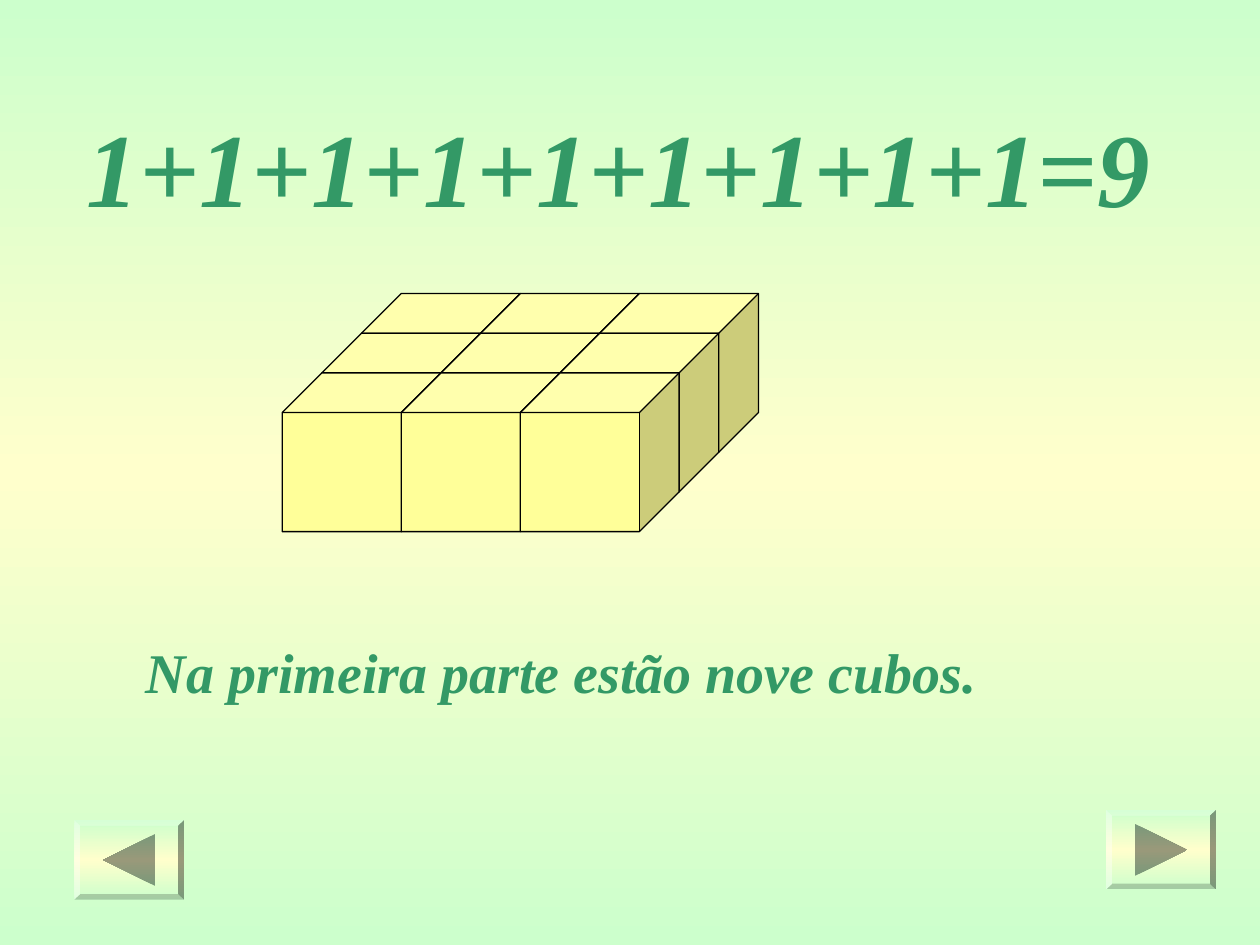
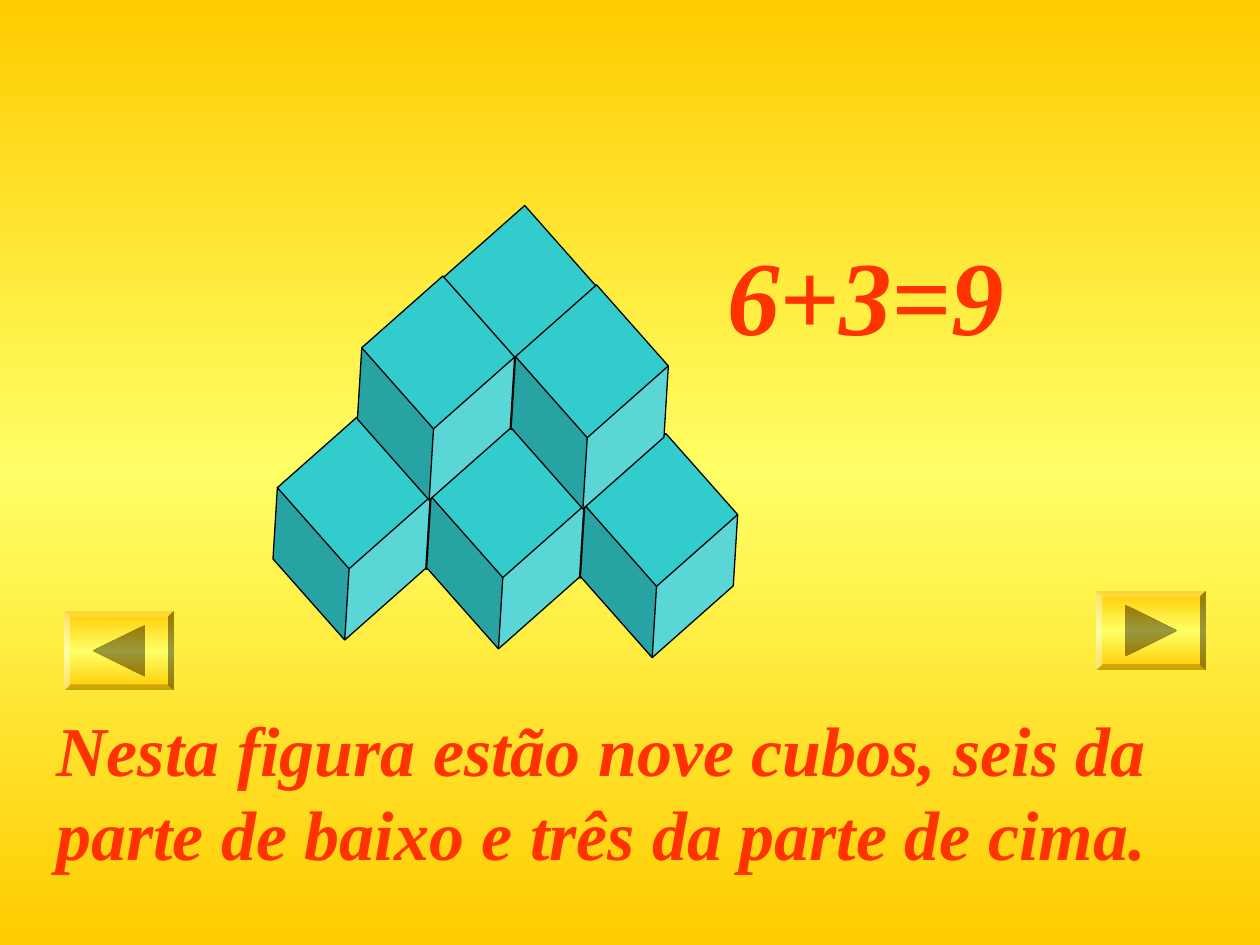
"""Build two slides that count nine cubes in two arrangements."""
from copy import deepcopy
from dataclasses import dataclass

from pptx import Presentation
from pptx.dml.color import RGBColor
from pptx.enum.shapes import MSO_SHAPE
from pptx.enum.text import MSO_ANCHOR, MSO_AUTO_SIZE, PP_ALIGN
from pptx.oxml.ns import qn
from pptx.util import Inches, Pt

FONT = "Times New Roman"
OUTLINE = "000000"
CUBE_SIDE = 1.26
BUTTON_WIDTH, BUTTON_HEIGHT, BEVEL_DEPTH = 0.87, 0.63, 0.07
ARROW_INSET, ARROW_WIDTH, ARROW_HEIGHT = 0.23, 0.41, 0.41
ARROW_SHADE = 0.6


@dataclass(frozen=True)
class Theme:
    """Colours of one slide."""

    edge: str
    middle: str
    text: str
    cube: str


@dataclass(frozen=True)
class Box:
    """Place of an element, in inches."""

    left: float
    top: float
    width: float
    height: float


@dataclass(frozen=True)
class CubeStyle:
    """Look shared by the cubes of a figure."""

    color: str
    depth: float
    rotation: float = 0


@dataclass(frozen=True)
class NavButton:
    """Bevelled button with an arrow."""

    left: float
    top: float
    forward: bool


GREEN = Theme("CCFFCC", "FFFFCC", "339966", "FFFF99")
GOLD = Theme("FFCC00", "FFFF66", "FF3300", "33CCCC")


def rgb(color: str) -> RGBColor:
    """Turn a hex string into a colour."""
    return RGBColor.from_string(color)


def darken(color: str) -> str:
    """Return the colour in the shade of the button arrows."""
    return "".join(f"{round(channel * ARROW_SHADE):02X}" for channel in rgb(color))


def fill_gradient(fill, owner, edge: str, middle: str) -> None:
    """Fill with a vertical gradient from edge to middle and back."""
    fill.gradient()
    fill.gradient_angle = 90
    stop_list = owner.find(f".//{qn('a:gsLst')}")
    stop_list.append(deepcopy(stop_list[0]))
    for stop, color, position in zip(fill.gradient_stops, (edge, middle, edge), (0, 0.5, 1)):
        stop.color.rgb = rgb(color)
        stop.position = position


def place(shape, box: Box) -> None:
    """Move and size a shape."""
    shape.left, shape.top = Inches(box.left), Inches(box.top)
    shape.width, shape.height = Inches(box.width), Inches(box.height)


def write(shape, text: str, *, size: float, color: str, before: float) -> None:
    """Write bold italic text, aligned left from the top of the shape."""
    frame = shape.text_frame
    frame.word_wrap = True
    frame.auto_size = MSO_AUTO_SIZE.SHAPE_TO_FIT_TEXT
    frame.vertical_anchor = MSO_ANCHOR.TOP
    paragraph = frame.paragraphs[0]
    paragraph.alignment = PP_ALIGN.LEFT
    paragraph.space_before = Pt(before)
    run = paragraph.add_run()
    run.text = text
    run.font.name, run.font.size = FONT, Pt(size)
    run.font.bold = run.font.italic = True
    run.font.color.rgb = rgb(color)


def add_cube(shapes, left: float, top: float, style: CubeStyle) -> None:
    """Draw one outlined cube."""
    cube = shapes.add_shape(
        MSO_SHAPE.CUBE, Inches(left), Inches(top), Inches(CUBE_SIDE), Inches(CUBE_SIDE)
    )
    cube.adjustments[0] = style.depth
    cube.rotation = style.rotation
    cube.shadow.inherit = False
    cube.fill.solid()
    cube.fill.fore_color.rgb = rgb(style.color)
    cube.line.color.rgb = rgb(OUTLINE)
    cube.line.width = Pt(0.75)


def add_block(shapes, style: CubeStyle) -> None:
    """Draw three rows of three cubes, from back to front."""
    pitch, recess = 0.945, 0.315
    for row in range(3):
        for column in range(3):
            add_cube(shapes, 2.87 + column * pitch - row * recess, 2.33 + row * recess, style)


def add_layer(shapes, left: float, top: float, rows: int, style: CubeStyle) -> None:
    """Draw a triangular layer of cubes that widens towards the front."""
    layer = shapes.add_group_shape()
    for row in range(rows):
        for right_steps in range(row + 1):
            left_steps = row - right_steps
            add_cube(
                layer.shapes,
                left - 0.65 * left_steps + 0.57 * right_steps,
                top + 0.56 * left_steps + 0.63 * right_steps,
                style,
            )


def add_button(shapes, button: NavButton, theme: Theme) -> None:
    """Draw a navigation button."""
    face = shapes.add_shape(
        MSO_SHAPE.BEVEL, Inches(button.left), Inches(button.top),
        Inches(BUTTON_WIDTH), Inches(BUTTON_HEIGHT),
    )
    face.adjustments[0] = BEVEL_DEPTH
    base, tip = button.left + ARROW_INSET, button.left + ARROW_INSET + ARROW_WIDTH
    if not button.forward:
        base, tip = tip, base
    center = button.top + BUTTON_HEIGHT / 2
    upper, lower = center - ARROW_HEIGHT / 2, center + ARROW_HEIGHT / 2
    builder = shapes.build_freeform(Inches(base), Inches(upper))
    builder.add_line_segments(
        [(Inches(tip), Inches(center)), (Inches(base), Inches(lower))], close=True
    )
    arrow = builder.convert_to_shape()
    colors = (theme.edge, theme.middle), (darken(theme.edge), darken(theme.middle))
    for part, (edge, middle) in zip((face, arrow), colors):
        part.shadow.inherit = False
        part.line.fill.background()
        fill_gradient(part.fill, part._element, edge, middle)


def add_counting_slide(
    deck, theme: Theme, sum_text: str, sum_box: Box, caption: str, caption_box: Box,
    caption_size: float, caption_before: float, buttons: tuple[NavButton, ...],
):
    """Add a slide with its sum, caption and buttons, and return its shapes."""
    slide = deck.slides.add_slide(deck.slide_layouts[5])
    fill_gradient(slide.background.fill, slide._element, theme.edge, theme.middle)
    place(slide.shapes.title, sum_box)
    write(slide.shapes.title, sum_text, size=60, color=theme.text, before=37.5)
    caption_text = slide.shapes.add_textbox(0, 0, 0, 0)
    place(caption_text, caption_box)
    write(caption_text, caption, size=caption_size, color=theme.text, before=caption_before)
    for button in buttons:
        add_button(slide.shapes, button, theme)
    return slide.shapes


def main() -> None:
    """Build and save the presentation."""
    deck = Presentation()
    deck.slide_width, deck.slide_height = Inches(10), Inches(7.5)

    block_shapes = add_counting_slide(
        deck, GREEN,
        "1+1+1+1+1+1+1+1+1=9", Box(0.59, 0.76, 8.9, 1.1),
        "Na primeira parte estão nove cubos.", Box(1.06, 5.01, 7.87, 0.64), 32, 20,
        (NavButton(8.78, 6.43, True), NavButton(0.59, 6.51, False)),
    )
    add_block(block_shapes, CubeStyle(GREEN.cube, 0.25))

    pyramid_shapes = add_counting_slide(
        deck, GOLD,
        "6+3=9", Box(5.67, 1.78, 3.58, 1.1),
        "Nesta figura estão nove cubos, seis da parte de baixo e três da parte de cima.",
        Box(0.35, 5.56, 9.37, 1.44), 40, 25,
        (NavButton(8.7, 4.69, True), NavButton(0.51, 4.85, False)),
    )
    pyramid_style = CubeStyle(GOLD.cube, 0.318, 138.5)
    add_layer(pyramid_shapes, 3.46, 2.44, 3, pyramid_style)
    add_layer(pyramid_shapes, 3.48, 1.89, 2, pyramid_style)

    deck.save("out.pptx")


if __name__ == "__main__":
    main()
